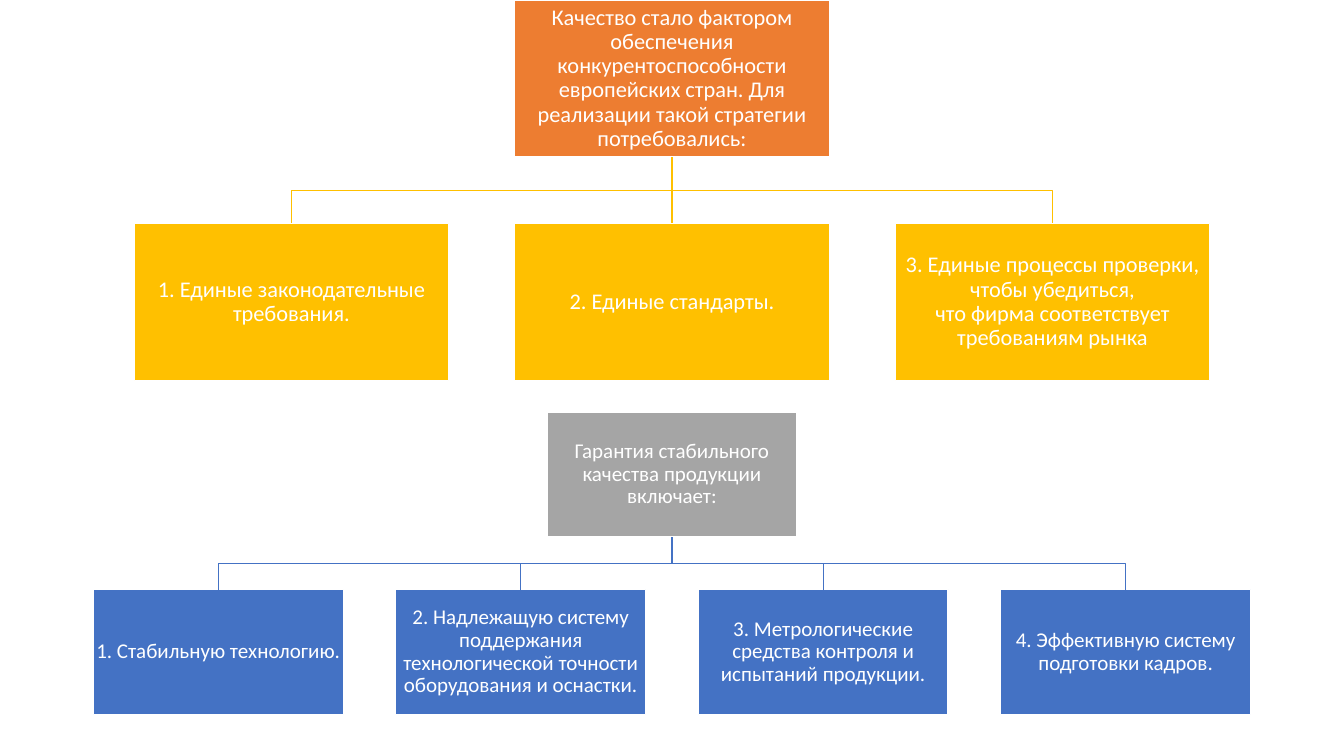
from pptx import Presentation
from pptx.dml.color import RGBColor
from pptx.enum.shapes import MSO_CONNECTOR, MSO_SHAPE
from pptx.enum.text import MSO_ANCHOR, PP_ALIGN
from pptx.oxml.ns import qn
from pptx.util import Inches, Pt

RECT, STRAIGHT = MSO_SHAPE.RECTANGLE, MSO_CONNECTOR.STRAIGHT
MIDDLE, CENTER = MSO_ANCHOR.MIDDLE, PP_ALIGN.CENTER
BOTTOM_SIDE, TOP_SIDE = 2, 0
WHITE = RGBColor(0xFF, 0xFF, 0xFF)
ORANGE = RGBColor(0xED, 0x7D, 0x31)
GOLD = RGBColor(0xFF, 0xC0, 0x00)
GRAY = RGBColor(0xA5, 0xA5, 0xA5)
BLUE = RGBColor(0x44, 0x72, 0xC4)
SLIDE_W, SLIDE_H = Inches(13.333), Inches(7.5)
GAP_SHARE = 0.21

STRATEGY = ("Качество стало фактором обеспечения конкурентоспособности "
            "европейских стран. Для реализации такой стратегии потребовались:")
STRATEGY_NEEDS = [
    "1. Единые законодательные требования.",
    "2. Единые стандарты.",
    "3. Единые процессы проверки, чтобы убедиться,\n"
    "что фирма соответствует требованиям рынка",
]
GUARANTEE = "Гарантия стабильного качества продукции включает:"
GUARANTEE_PARTS = [
    "1. Стабильную технологию.",
    "2. Надлежащую систему поддержания технологической точности оборудования и оснастки.",
    "3. Метрологические средства контроля и испытаний продукции.",
    "4. Эффективную систему подготовки кадров.",
]


def add_box(s, center, top, width, text, color, size):
    """Add a text box-like rectangle, half as tall as it is wide."""
    box = s.shapes.add_shape(RECT, int(center - width / 2), int(top), width, width // 2)
    box.shadow.inherit = False
    box.fill.solid()
    box.fill.fore_color.rgb = color
    box.line.color.rgb = WHITE
    box.line.width = Pt(1)
    tf = box.text_frame
    tf.word_wrap = True
    tf.vertical_anchor = MIDDLE
    tf.margin_left = tf.margin_right = tf.margin_top = tf.margin_bottom = Inches(0.01)
    p = tf.paragraphs[0]
    p.text = text
    p.alignment = CENTER
    p.line_spacing = 0.9
    p.font.name = "Calibri"
    p.font.size = Pt(size)
    p.font.color.rgb = WHITE
    return box


def add_straight_link(s, parent, child):
    """Join a parent to the child directly below it."""
    link = s.shapes.add_connector(STRAIGHT, 0, 0, 0, 0)
    link.begin_connect(parent, BOTTOM_SIDE)
    link.end_connect(child, TOP_SIDE)
    link._element.spPr.append(link._element.makeelement(qn("a:effectLst"), {}))
    return link


def add_bent_link(s, parent, child):
    """Draw a right-angled line from a parent down to a child at its side."""
    x1, y1 = parent.left + parent.width // 2, parent.top + parent.height
    x2, y2 = child.left + child.width // 2, child.top
    middle = (y1 + y2) // 2
    builder = s.shapes.build_freeform(x1, y1)
    builder.add_line_segments([(x1, middle), (x2, middle), (x2, y2)], close=False)
    link = builder.convert_to_shape()
    link.shadow.inherit = False
    link.fill.background()
    return link


def add_tree(s, top, width, size, root, root_color, leaves, leaf_color):
    """Add a root box with a centred row of linked boxes below it."""
    pitch = width * (1 + GAP_SHARE)
    leaf_top = top + width * (0.5 + GAP_SHARE)
    parent = add_box(s, SLIDE_W / 2, top, width, root, root_color, size)
    for i, text in enumerate(leaves):
        offset = i - (len(leaves) - 1) / 2
        child = add_box(s, SLIDE_W / 2 + offset * pitch, leaf_top, width,
                        text, leaf_color, size)
        add_link = add_bent_link if offset else add_straight_link
        link = add_link(s, parent, child)
        link.line.color.rgb = leaf_color
        link.line.width = Pt(1)


def main():
    """Build the slide with its two trees and save it."""
    prs = Presentation()
    prs.slide_width, prs.slide_height = SLIDE_W, SLIDE_H
    s = prs.slides.add_slide(prs.slide_layouts[6])
    add_tree(s, 0, Inches(3.12), 16, STRATEGY, ORANGE, STRATEGY_NEEDS, GOLD)
    add_tree(s, SLIDE_H * 0.545, Inches(2.48), 15, GUARANTEE, GRAY, GUARANTEE_PARTS, BLUE)
    prs.save("out.pptx")


if __name__ == "__main__":
    main()
